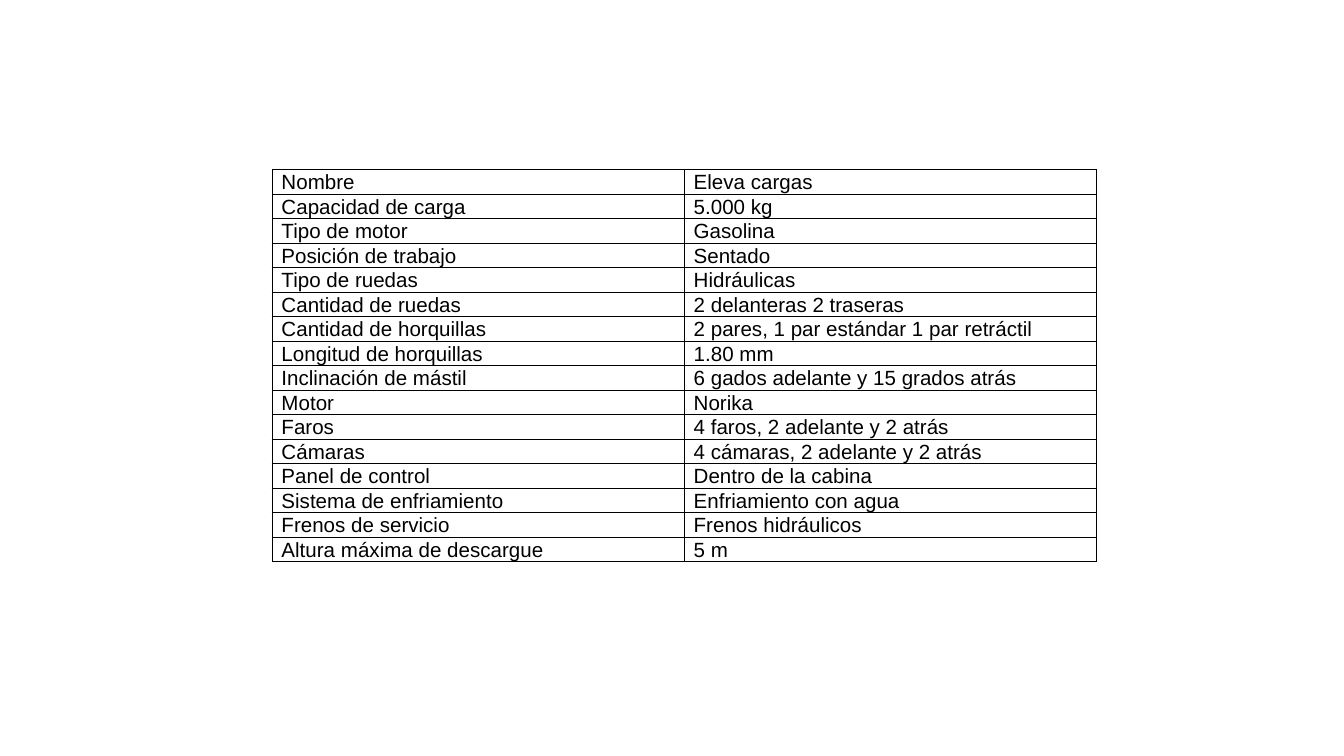
"""Build a slide with the technical data sheet of a forklift."""
from lxml.etree import SubElement
from pptx import Presentation
from pptx.dml.color import RGBColor
from pptx.oxml.ns import qn
from pptx.util import Cm, Pt

COLORS = {"text": "000000", "border": "000000"}
SPECS = [
    ("Nombre", "Eleva cargas"),
    ("Capacidad de carga", "5.000 kg"),
    ("Tipo de motor", "Gasolina"),
    ("Posición de trabajo", "Sentado"),
    ("Tipo de ruedas", "Hidráulicas"),
    ("Cantidad de ruedas", "2 delanteras 2 traseras"),
    ("Cantidad de horquillas", "2 pares, 1 par estándar 1 par retráctil"),
    ("Longitud de horquillas", "1.80 mm"),
    ("Inclinación de mástil", "6 gados adelante y 15 grados atrás"),
    ("Motor", "Norika"),
    ("Faros", "4 faros, 2 adelante y 2 atrás"),
    ("Cámaras", "4 cámaras, 2 adelante y 2 atrás"),
    ("Panel de control", "Dentro de la cabina"),
    ("Sistema de enfriamiento", "Enfriamiento con agua"),
    ("Frenos de servicio", "Frenos hidráulicos"),
    ("Altura máxima de descargue", "5 m"),
]
ROW_HEIGHT = Cm(0.46)
COLUMN_WIDTH = Cm(7.79)


def add_borders(cell):
    properties = cell._tc.get_or_add_tcPr()
    for position, side in enumerate(("lnL", "lnR", "lnT", "lnB")):
        line = SubElement(properties, qn(f"a:{side}"), w=str(Pt(0.5)))
        properties.insert(position, line)
        fill = SubElement(line, qn("a:solidFill"))
        SubElement(fill, qn("a:srgbClr"), val=COLORS["border"])


deck = Presentation()
deck.slide_width, deck.slide_height = Cm(25.4), Cm(14.28)
slide = deck.slides.add_slide(deck.slide_layouts[6])

data_sheet = slide.shapes.add_table(
    len(SPECS), 2, Cm(5.14), Cm(3.2), 2 * COLUMN_WIDTH, len(SPECS) * ROW_HEIGHT
).table
data_sheet.first_row = False
data_sheet.horz_banding = False
for column in data_sheet.columns:
    column.width = COLUMN_WIDTH

for row, spec in zip(data_sheet.rows, SPECS):
    row.height = ROW_HEIGHT
    for cell, wording in zip(row.cells, spec):
        cell.margin_left = cell.margin_right = Cm(0.18)
        cell.margin_top = cell.margin_bottom = 0
        cell.fill.background()
        add_borders(cell)
        cell.text_frame.text = wording
        paragraph = cell.text_frame.paragraphs[0]
        paragraph.line_spacing = 1.07
        font = paragraph.runs[0].font
        font.name, font.size = "Arial", Pt(11)
        font.color.rgb = RGBColor.from_string(COLORS["text"])

deck.save("out.pptx")
